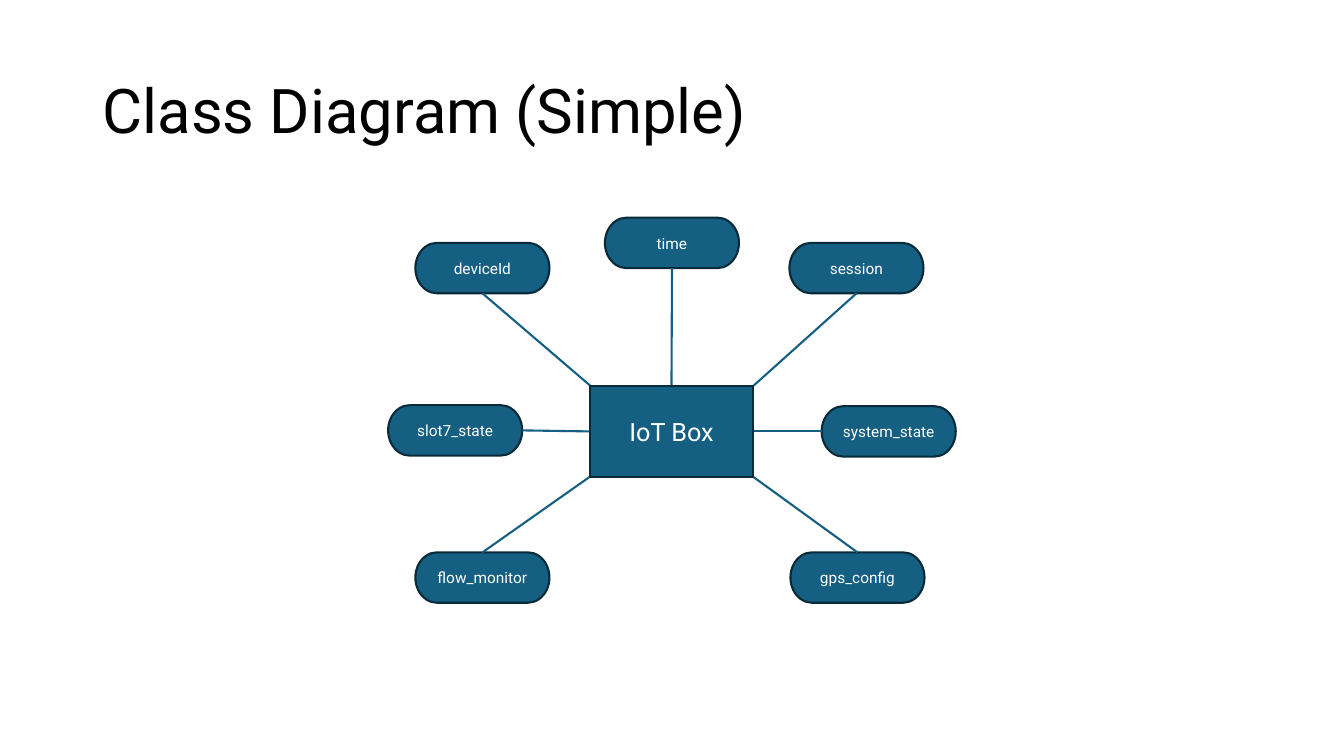
from lxml import etree
from pptx import Presentation
from pptx.dml.color import RGBColor
from pptx.enum import shapes, text
from pptx.oxml import ns
from pptx.util import Inches, Pt

BLUE = RGBColor(0x15, 0x60, 0x82)
NAVY = RGBColor(0x09, 0x2A, 0x39)
WHITE = RGBColor(0xFF, 0xFF, 0xFF)
BLACK = RGBColor(0x00, 0x00, 0x00)
FONT = "Roboto"

TOP, LEFT, BOTTOM, RIGHT = range(4)
PILL_SIZE = (1.33, 0.5)
HUB_BOX = (2.0, 1.67, 1.62, 0.9)

# name, offset in the diagram, pill side, point on the hub as fractions, hub side
ATTRIBUTES = [
    ("flow_monitor", (0.27, 3.32), TOP, (0, 1), None),
    ("gps_config", (3.99, 3.32), TOP, (1, 1), None),
    ("deviceId", (0.27, 0.25), BOTTOM, (0.07, 0.1), None),
    ("session", (3.98, 0.25), BOTTOM, (1, 0), None),
    ("system_state", (4.3, 1.87), LEFT, (1, 0.5), RIGHT),
    ("slot7_state", (0, 1.86), RIGHT, (0, 0.5), LEFT),
    ("time", (2.15, 0), BOTTOM, (0.5, 0), TOP),
]


def write(shape, words, size, color, align=text.PP_ALIGN.CENTER, spacing=None):
    frame = shape.text_frame
    frame.word_wrap = True
    frame.vertical_anchor = text.MSO_ANCHOR.MIDDLE
    para = frame.paragraphs[0]
    para.alignment = align
    para.line_spacing = spacing
    span = para.add_run()
    span.text = words
    span.font.size = Pt(size)
    span.font.name = FONT
    span.font.color.rgb = color


def add_node(page, kind, box, words, size):
    node = page.shapes.add_shape(kind, *map(Inches, box))
    node.shadow.inherit = False
    node.fill.solid()
    node.fill.fore_color.rgb = BLUE
    node.line.color.rgb = NAVY
    node.line.width = Pt(1.5)
    write(node, words, size, WHITE)
    return node


def add_link(page, pill, pill_side, end):
    link = page.shapes.add_connector(
        shapes.MSO_CONNECTOR.STRAIGHT, pill.left, pill.top, *map(Inches, end))
    link.begin_connect(pill, pill_side)
    link.line.color.rgb = BLUE
    link.line.width = Pt(1.5)
    etree.SubElement(link._element.spPr, ns.qn("a:effectLst"))
    return link


def add_title(page, box, words):
    title = page.shapes.add_textbox(*map(Inches, box))
    write(title, words, 44, BLACK, align=text.PP_ALIGN.LEFT, spacing=0.9)


def add_diagram(page, left, top):
    hub_x, hub_y, hub_width, hub_height = HUB_BOX
    hub_x, hub_y = left + hub_x, top + hub_y
    pills = [
        add_node(page, shapes.MSO_SHAPE.FLOWCHART_TERMINATOR,
                 (left + x, top + y, *PILL_SIZE), name, 11)
        for name, (x, y), *_ in ATTRIBUTES
    ]
    links = [
        add_link(page, pill, pill_side,
                 (hub_x + across * hub_width, hub_y + down * hub_height))
        for pill, (_, _, pill_side, (across, down), _) in zip(pills, ATTRIBUTES)
    ]
    hub = add_node(page, shapes.MSO_SHAPE.FLOWCHART_PROCESS,
                   (hub_x, hub_y, hub_width, hub_height), "IoT Box", 18)
    for link, (*_, hub_side) in zip(links, ATTRIBUTES):
        if hub_side is not None:
            link.end_connect(hub, hub_side)


def main():
    deck = Presentation()
    deck.slide_width, deck.slide_height = Inches(13.33), Inches(7.5)
    page = deck.slides.add_slide(deck.slide_layouts[6])
    add_title(page, (0.92, 0.4, 11.5, 1.45), "Class Diagram (Simple)")
    add_diagram(page, 3.85, 2.16)
    deck.save("out.pptx")


if __name__ == "__main__":
    main()
